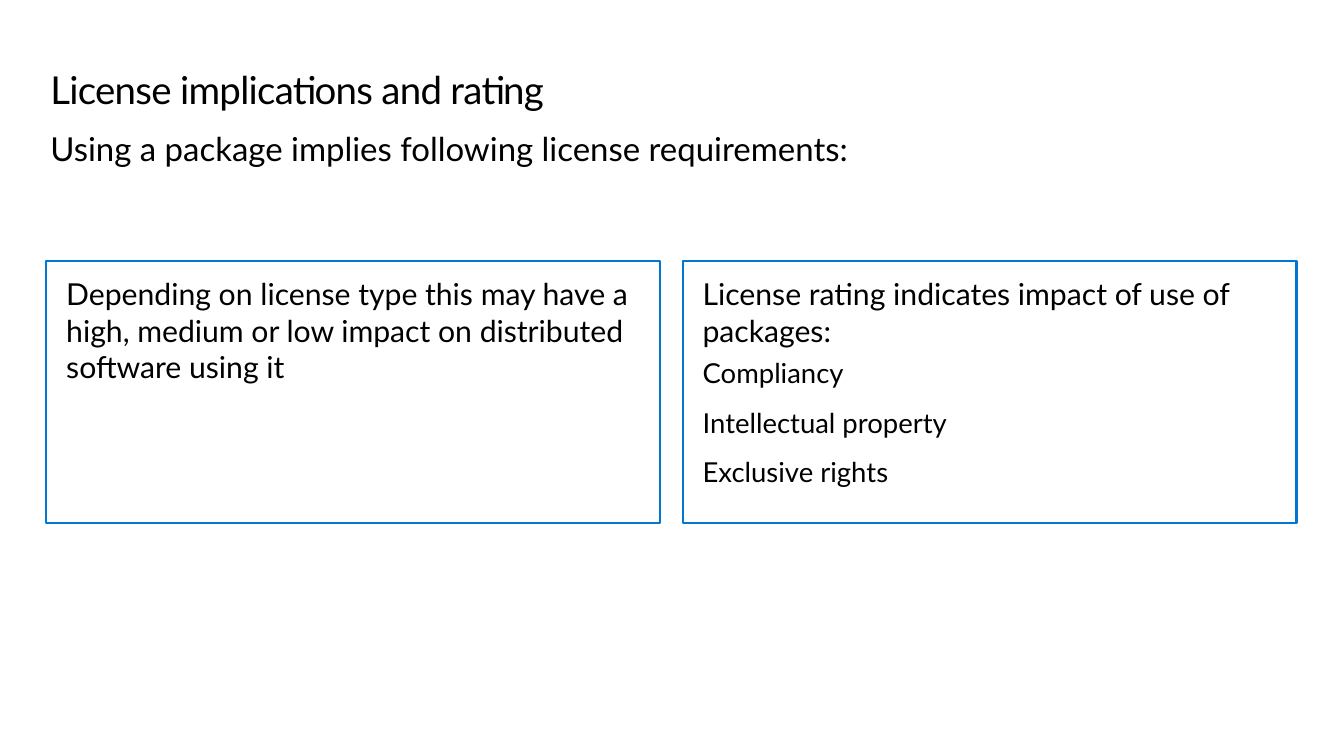
import pptx
import pptx.dml.color
import pptx.enum.shapes
import pptx.enum.text
import pptx.util

# Content: each paragraph is (style, text)
TITLE = [("title", "License implications and rating")]
SUBTITLE = [("subtitle", "Using a package implies following license requirements:")]
BOXES = [
    [("lead", "Depending on license type this may have a high, medium or low "
              "impact on distributed software using it")],
    [("lead", "License rating indicates impact of use of packages:"),
     ("item", "Compliancy"),
     ("item", "Intellectual property"),
     ("item", "Exclusive rights")],
]

# Theme
Pt = pptx.util.Pt
THEME = {
    "font": "Lato",
    "text": pptx.dml.color.RGBColor.from_string("000000"),
    "border": pptx.dml.color.RGBColor.from_string("0078D3"),
    "border_width": Pt(1.5),
    "sizes": {"title": Pt(28), "subtitle": Pt(24), "lead": Pt(22), "item": Pt(20)},
    "paragraphs": {
        "title": {"line_spacing": Pt(32)},
        "item": {"space_before": Pt(6), "space_after": Pt(6)},
    },
    "title_tracking": "-50",
}

# Geometry in px, 100 px to the inch
EMU_PER_PX = 9144
SLIDE_SIZE = (1360, 765)
TITLE_AREA = (51, 69, 1261, 45)
SUBTITLE_AREA = (51, 130, 1261, 40)
BOX_LEFT, BOX_TOP, BOX_WIDTH, BOX_HEIGHT, BOX_GAP = 47, 264, 621, 265, 23
BOX_INSETS = (20, 15)


def px(length):
    return pptx.util.Emu(length * EMU_PER_PX)


def apply(target, values):
    for name, value in values.items():
        setattr(target, name, value)


def place(shape, area):
    apply(shape, dict(zip(("left", "top", "width", "height"), map(px, area))))


def write(shape, paragraphs, insets=(0, 0)):
    frame = shape.text_frame
    side, end = map(px, insets)
    apply(frame, {
        "word_wrap": True,
        "auto_size": pptx.enum.text.MSO_AUTO_SIZE.NONE,
        "vertical_anchor": pptx.enum.text.MSO_ANCHOR.TOP,
        "margin_left": side, "margin_right": side,
        "margin_top": end, "margin_bottom": end,
    })
    for index, (style, text) in enumerate(paragraphs):
        paragraph = frame.add_paragraph() if index else frame.paragraphs[0]
        apply(paragraph, {"alignment": pptx.enum.text.PP_ALIGN.LEFT,
                          **THEME["paragraphs"].get(style, {})})
        run = paragraph.add_run()
        run.text = text
        apply(run.font, {"name": THEME["font"], "size": THEME["sizes"][style]})
        run.font.color.rgb = THEME["text"]


def add_box(slide, column, paragraphs):
    left = BOX_LEFT + column * (BOX_WIDTH + BOX_GAP)
    area = map(px, (left, BOX_TOP, BOX_WIDTH, BOX_HEIGHT))
    box = slide.shapes.add_shape(pptx.enum.shapes.MSO_SHAPE.RECTANGLE, *area)
    box.shadow.inherit = False
    box.fill.background()
    box.line.color.rgb = THEME["border"]
    box.line.width = THEME["border_width"]
    write(box, paragraphs, BOX_INSETS)


def main():
    presentation = pptx.Presentation()
    apply(presentation, dict(zip(("slide_width", "slide_height"), map(px, SLIDE_SIZE))))
    slide = presentation.slides.add_slide(presentation.slide_layouts.get_by_name("Title Only"))

    # Title and subtitle
    title = slide.shapes.title
    place(title, TITLE_AREA)
    write(title, TITLE)
    title_run = title.text_frame.paragraphs[0].runs[0]
    title_run.font._element.set("spc", THEME["title_tracking"])
    write(slide.shapes.add_textbox(*map(px, SUBTITLE_AREA)), SUBTITLE)

    # Two boxes side by side
    for column, paragraphs in enumerate(BOXES):
        add_box(slide, column, paragraphs)

    presentation.save("out.pptx")


if __name__ == "__main__":
    main()
